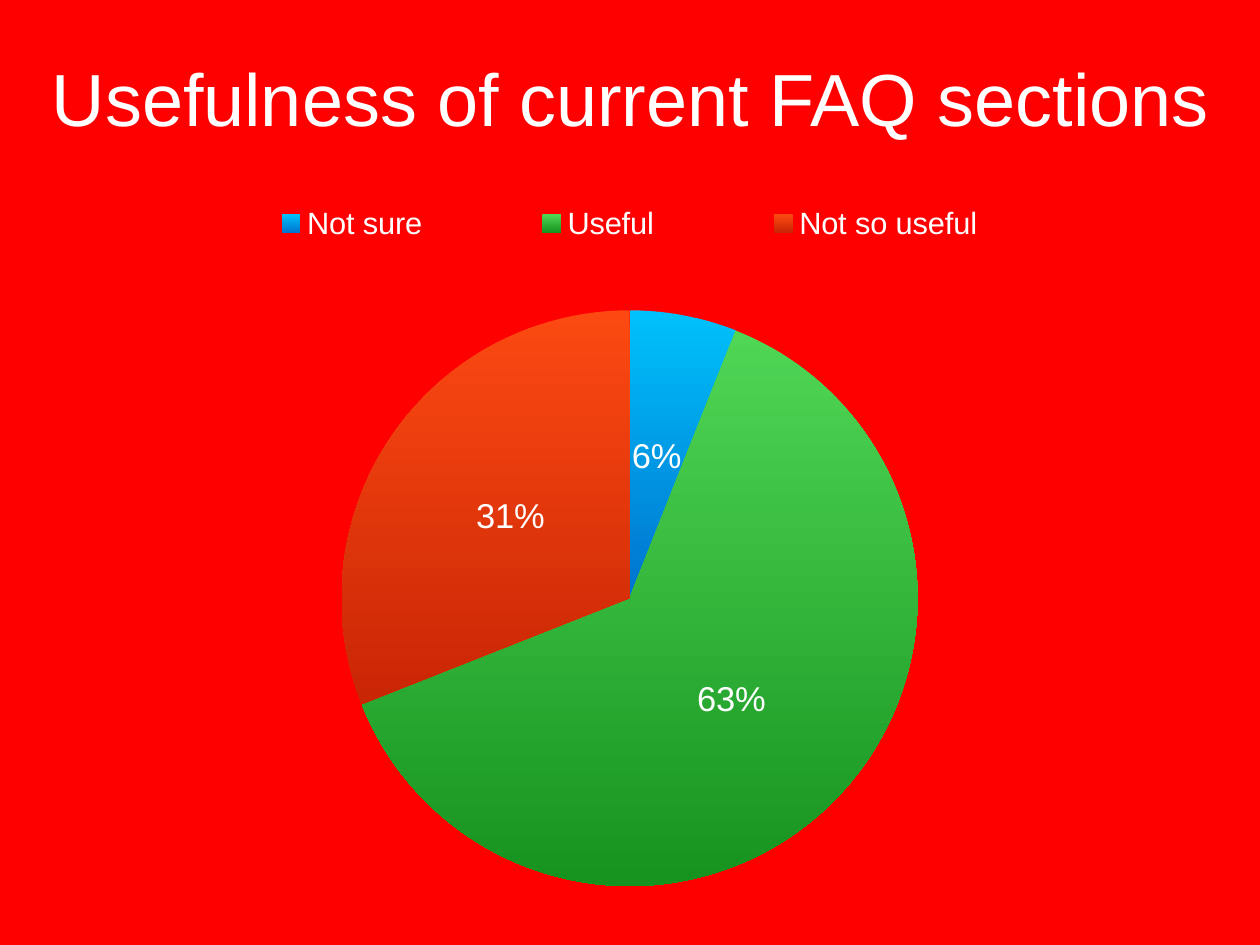
from lxml.etree import SubElement
from pptx import Presentation
from pptx.chart.data import CategoryChartData
from pptx.dml.color import RGBColor
from pptx.enum.chart import XL_CHART_TYPE, XL_LABEL_POSITION, XL_LEGEND_POSITION
from pptx.enum.text import MSO_ANCHOR, PP_ALIGN
from pptx.oxml.ns import qn
from pptx.util import Inches, Pt

RED = RGBColor(0xFF, 0x00, 0x00)
WHITE = RGBColor(0xFF, 0xFF, 0xFF)
BLUES = RGBColor(0x00, 0xC1, 0xFB), RGBColor(0x00, 0x73, 0xCF)
GREENS = RGBColor(0x50, 0xD6, 0x55), RGBColor(0x16, 0x93, 0x1F)
ORANGES = RGBColor(0xFC, 0x49, 0x12), RGBColor(0xC9, 0x26, 0x05)

# Answer, share in percent, gradient from top to bottom
ANSWERS = [
    ("Not sure", 6, BLUES),
    ("Useful", 63, GREENS),
    ("Not so useful", 31, ORANGES),
]


class SlideBuilder:
    def __init__(self, slide, font="Arial", color=WHITE):
        self.s = slide
        self.font = font
        self.color = color

    def background(self, color):
        fill = self.s.background.fill
        fill.solid()
        fill.fore_color.rgb = color

    def style(self, font, size):
        for name, value in {"name": self.font, "size": Pt(size), "bold": False}.items():
            setattr(font, name, value)
        font.color.rgb = self.color

    def title(self, text, x, y, w, h, size):
        sp = self.s.shapes.add_textbox(Inches(x), Inches(y), Inches(w), Inches(h))
        tf = sp.text_frame
        frame = {"word_wrap": False, "vertical_anchor": MSO_ANCHOR.MIDDLE}
        for side in ("left", "right", "top", "bottom"):
            frame[f"margin_{side}"] = Inches(0.06)
        for name, value in frame.items():
            setattr(tf, name, value)
        p = tf.paragraphs[0]
        p.alignment = PP_ALIGN.CENTER
        r = p.add_run()
        r.text = text
        self.style(r.font, size)

    def place(self, parent, x, y, w, h, inner=False):
        """Give a chart part a fixed place, as fractions of the chart."""
        manual = SubElement(parent.get_or_add_layout(), qn("c:manualLayout"))
        settings = {"layoutTarget": "inner"} if inner else {}
        settings.update(xMode="edge", yMode="edge", x=x, y=y, w=w, h=h)
        for tag, value in settings.items():
            SubElement(manual, qn(f"c:{tag}")).set("val", str(value))

    def pie(self, answers, x, y, w, h):
        data = CategoryChartData()
        data.categories = [name for name, _, _ in answers]
        data.add_series("Series 1", [share for _, share, _ in answers])
        frame = self.s.shapes.add_chart(
            XL_CHART_TYPE.PIE, Inches(x), Inches(y), Inches(w), Inches(h), data)
        chart = frame.chart
        chart.has_title = False
        self.style(chart.font, 10)
        plot = chart.plots[0]
        plot.vary_by_categories = True

        # Slices
        for i, (_, _, colors) in enumerate(answers):
            fmt = plot.series[0].points[i].format
            fmt.fill.gradient()
            fmt.fill.gradient_angle = 270
            for stop, color in zip(fmt.fill.gradient_stops, colors):
                stop.color.rgb = color
            fmt.line.fill.background()

        # Percent labels
        plot.has_data_labels = True
        labels = plot.data_labels
        for name, value in {
            "show_percentage": True,
            "show_value": False,
            "number_format": "#,##0%",
            "number_format_is_linked": False,
            "position": XL_LABEL_POSITION.CENTER,
        }.items():
            setattr(labels, name, value)
        self.style(labels.font, 28)

        # Legend across the top
        chart.has_legend = True
        legend = chart.legend
        legend.position = XL_LEGEND_POSITION.TOP
        legend.include_in_layout = True
        self.style(legend.font, 25)
        self.place(legend._element, 0, 0, 1, 0.08)

        # Pie area
        plot_area = chart._chartSpace.chart.plotArea
        layout = plot_area.find(qn("c:layout"))
        if layout is None:
            layout = SubElement(plot_area, qn("c:layout"))
            plot_area.insert(0, layout)
        manual = SubElement(layout, qn("c:manualLayout"))
        for tag, value in {"layoutTarget": "inner", "xMode": "edge", "yMode": "edge",
                           "x": 0.18, "y": 0.164, "w": 0.64, "h": 0.824}.items():
            SubElement(manual, qn(f"c:{tag}")).set("val", str(value))


def main():
    prs = Presentation()
    prs.slide_width = Inches(14.22)
    prs.slide_height = Inches(10.67)
    builder = SlideBuilder(prs.slides.add_slide(prs.slide_layouts[6]))
    builder.background(RED)
    builder.pie(ANSWERS, 1.94, 2.21, 10.33, 7.89)
    builder.title("Usefulness of current FAQ sections", 0.5, 0.55, 13.23, 1.09, 60)
    prs.save("out.pptx")


if __name__ == "__main__":
    main()
